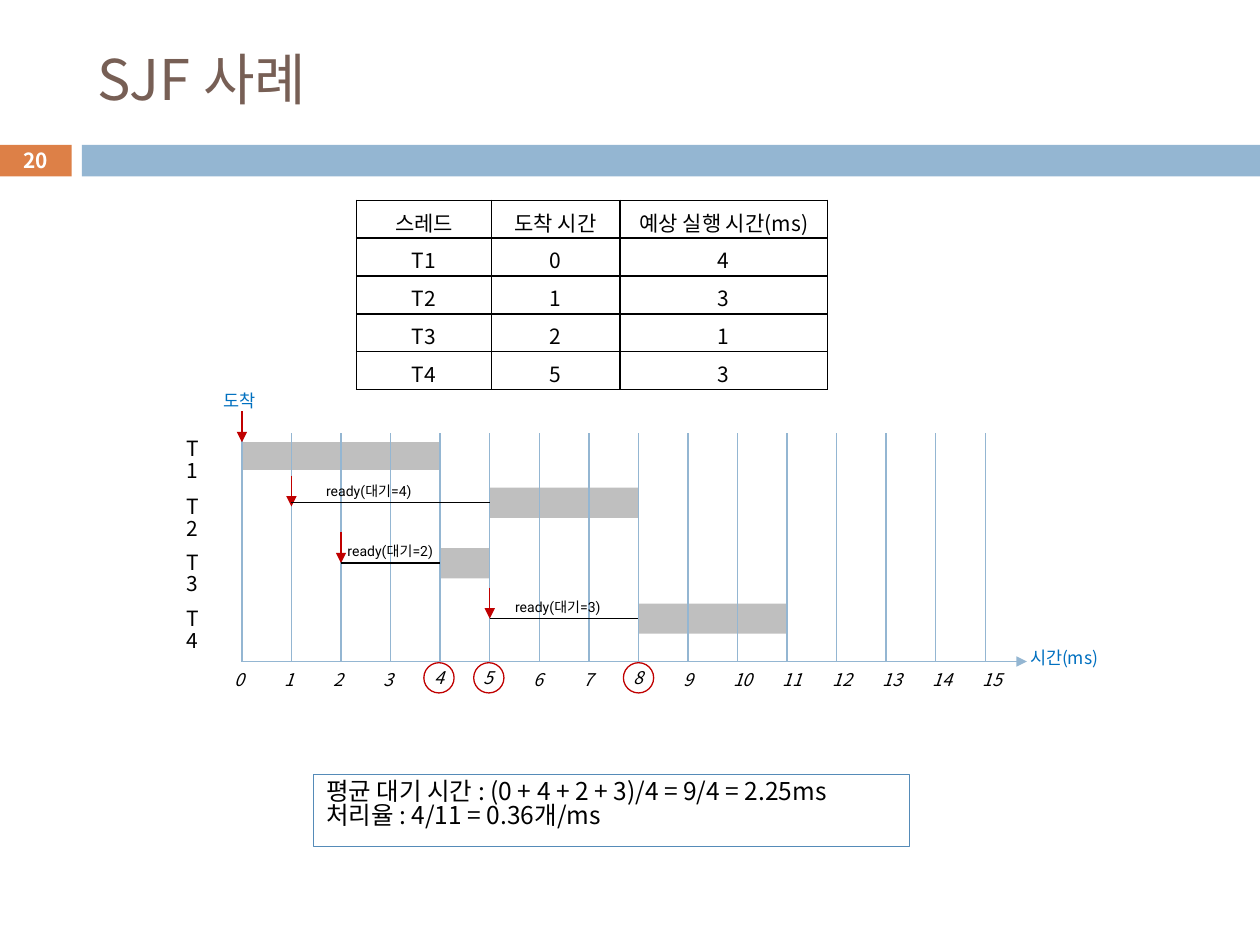
from dataclasses import dataclass

from lxml.etree import SubElement
from pptx import Presentation
from pptx.dml.color import RGBColor
from pptx.enum.shapes import MSO_CONNECTOR, MSO_SHAPE
from pptx.enum.text import MSO_ANCHOR, PP_ALIGN
from pptx.oxml import parse_xml
from pptx.oxml.ns import nsdecls, qn
from pptx.util import Inches, Pt


@dataclass(frozen=True)
class Theme:
    korean: str = "Noto Sans CJK KR"
    latin: str = "Roboto"
    ink: str = "000000"
    white: str = "FFFFFF"
    brown: str = "775F55"
    orange: str = "DD8047"
    blue: str = "94B6D2"
    frame: str = "558BB8"
    caption: str = "0070C0"
    red: str = "C00000"
    grey: str = "BFBFBF"
    title: float = 32
    summary: float = 14
    body: float = 12
    small: float = 10
    tiny: float = 8
    thin: float = 0.75
    rule: float = 0.79


@dataclass(frozen=True)
class Thread:
    name: str
    arrival: int
    start: int
    burst: int
    top: float
    label_top: float
    arrow_tip: float
    wait_left: float = 0

    @property
    def wait(self):
        return self.start - self.arrival


class SlideBuilder:
    COLUMNS, ROWS = 100, 75

    def __init__(self, theme):
        self.theme = theme
        self.deck = Presentation()
        self.deck.slide_width, self.deck.slide_height = Inches(10), Inches(7.5)
        self.slide = self.deck.slides.add_slide(self.deck.slide_layouts[5])

    def x(self, columns):
        return round(self.deck.slide_width * columns / self.COLUMNS)

    def y(self, rows):
        return round(self.deck.slide_height * rows / self.ROWS)

    def place(self, left, top, width, height):
        return self.x(left), self.y(top), self.x(width), self.y(height)

    def set_text(self, frame, text, size, color=None, align=PP_ALIGN.LEFT, font=None,
                 bold=False, italic=False, spacing=None):
        frame.text = text
        for paragraph in frame.paragraphs:
            paragraph.alignment = align
            if spacing:
                paragraph.line_spacing = spacing
            for run in paragraph.runs:
                run.font.size = Pt(size)
                run.font.bold, run.font.italic = bold, italic
                run.font.color.rgb = RGBColor.from_string(color or self.theme.ink)
                run.font.name = font or self.theme.korean
                east_asian = SubElement(run._r.get_or_add_rPr(), qn("a:ea"))
                east_asian.set("typeface", self.theme.korean)

    def title(self, text, *box):
        heading = self.slide.shapes.title
        heading.left, heading.top, heading.width, heading.height = self.place(*box)
        heading.text_frame.vertical_anchor = MSO_ANCHOR.MIDDLE
        self.set_text(heading.text_frame, text, self.theme.title, self.theme.brown)

    def text(self, text, *box, size, wrap=False, anchor=MSO_ANCHOR.TOP, **style):
        frame = self.slide.shapes.add_textbox(*self.place(*box)).text_frame
        frame.word_wrap = wrap
        frame.vertical_anchor = anchor
        self.set_text(frame, text, size, **style)

    def shape(self, *box, kind=MSO_SHAPE.RECTANGLE, fill=None, line=None):
        outline = self.slide.shapes.add_shape(kind, *self.place(*box))
        outline.shadow.inherit = False
        if fill:
            outline.fill.solid()
            outline.fill.fore_color.rgb = RGBColor.from_string(fill)
        else:
            outline.fill.background()
        if line:
            outline.line.color.rgb = RGBColor.from_string(line)
            outline.line.width = Pt(self.theme.thin)
        else:
            outline.line.fill.background()
        return outline

    def circled(self, text, left, top, diameter):
        ring = self.shape(left, top, diameter, diameter, kind=MSO_SHAPE.OVAL, line=self.theme.red)
        frame = ring.text_frame
        frame.margin_left = frame.margin_right = frame.margin_top = frame.margin_bottom = 0
        frame.vertical_anchor = MSO_ANCHOR.MIDDLE
        frame.word_wrap = False
        self.set_text(frame, text, self.theme.small, align=PP_ALIGN.CENTER, italic=True)

    def line(self, x1, y1, x2, y2, color, arrow=False, target=None):
        stroke = self.slide.shapes.add_connector(
            MSO_CONNECTOR.STRAIGHT, self.x(x1), self.y(y1), self.x(x2), self.y(y2))
        if target:
            stroke.end_connect(target, 1)
        stroke.line.color.rgb = RGBColor.from_string(color)
        stroke.line.width = Pt(self.theme.rule)
        properties = stroke._element.spPr
        if arrow:
            SubElement(properties.find(qn("a:ln")), qn("a:tailEnd")).set("type", "triangle")
        SubElement(properties, qn("a:effectLst"))

    def table(self, rows, left, top, widths, row_height):
        box = self.place(left, top, sum(widths), row_height * len(rows))
        grid = self.slide.shapes.add_table(len(rows), len(widths), *box).table
        grid.first_row = grid.horz_banding = False
        for column, width in zip(grid.columns, widths):
            column.width = self.x(width)
        for row, values in zip(grid.rows, rows):
            row.height = self.y(row_height)
            for cell, value in zip(row.cells, values):
                cell.margin_top, cell.margin_bottom = self.y(0.5), self.y(0.1)
                cell.fill.background()
                self.set_text(cell.text_frame, value, self.theme.body, align=PP_ALIGN.CENTER)
                for index, side in enumerate("LRTB"):
                    cell._tc.get_or_add_tcPr().insert(index, parse_xml(
                        f'<a:ln{side} {nsdecls("a")} w="12700"><a:solidFill>'
                        f'<a:srgbClr val="{self.theme.ink}"/></a:solidFill></a:ln{side}>'))


THREADS = [
    Thread("T1", 0, 0, 4, 35.1, 34.4, 35.1),
    Thread("T2", 1, 5, 3, 38.7, 39, 40.2, 24.9),
    Thread("T3", 2, 4, 1, 43.5, 43.4, 44.7, 26.6),
    Thread("T4", 5, 8, 3, 47.9, 47.9, 49.1, 39.9),
]
ORIGIN, LAST_TICK = 19.2, 15
TICK = 59 / LAST_TICK
AXIS = 52.5
SWITCH_TIMES = {4, 5, 8}


def at(time):
    return ORIGIN + time * TICK


def main():
    theme = Theme()
    page = SlideBuilder(theme)
    page.title("SJF 사례", 6.7, 2.5, 89.2, 7.4)
    page.shape(0, 11.5, 5.7, 2.5, fill=theme.orange)
    page.shape(6.5, 11.5, 93.5, 2.5, fill=theme.blue)
    page.text("20", 0, 11.4, 5.7, 2.7, size=11.9, color=theme.white, bold=True,
              align=PP_ALIGN.CENTER, anchor=MSO_ANCHOR.MIDDLE)

    header = ("스레드", "도착 시간", "예상 실행 시간(ms)")
    jobs = [(t.name, str(t.arrival), str(t.burst)) for t in THREADS]
    page.table([header, *jobs], 28.3, 15.9, (10.7, 10.2, 16.5), 3)

    bars = [page.shape(at(t.start), t.top, t.burst * TICK, 2.4 if t.wait else 2.2, fill=theme.grey)
            for t in THREADS]
    for time in range(LAST_TICK + 1):
        page.line(at(time), 34.4, at(time), AXIS, theme.blue)
        label_left = 17.6 + 3.96 * time
        if time in SWITCH_TIMES:
            page.circled(str(time), label_left + 0.2, 52.6, 2.4)
        else:
            page.text(str(time), label_left, 52.6, 2.8 if time < 10 else 3.6, 2.7,
                      size=theme.small, italic=True)
    page.line(ORIGIN, AXIS, 81.5, AXIS, theme.blue, arrow=True)
    page.text("시간(ms)", 80.7, 51.1, 7.5, 2.7, size=theme.small, color=theme.caption,
              align=PP_ALIGN.CENTER, wrap=True, spacing=0.85)
    page.text("도착", 16.6, 30.5, 4.8, 2.7, size=theme.small, color=theme.caption,
              align=PP_ALIGN.CENTER)

    for thread, bar in zip(THREADS, bars):
        page.text(thread.name, 13.8, thread.label_top, 3.8, 3, size=theme.body, wrap=True,
                  spacing=0.85)
        arrival = at(thread.arrival)
        page.line(arrival, thread.arrow_tip - 2.45, arrival, thread.arrow_tip, theme.red, arrow=True)
        if thread.wait:
            middle = thread.top + 1.2
            page.line(arrival, middle, at(thread.start), middle, theme.ink, target=bar)
            page.text(f"ready(대기={thread.wait})", thread.wait_left, thread.top - 0.9, 9.6, 2.4,
                      size=theme.tiny, font=theme.latin)

    summary = page.shape(24.9, 61.5, 47.3, 5.7, line=theme.frame).text_frame
    summary.word_wrap = False
    summary.vertical_anchor = MSO_ANCHOR.TOP
    page.set_text(summary, "평균 대기 시간 : (0 + 4 + 2 + 3)/4 = 9/4 = 2.25ms\n처리율 : 4/11 = 0.36개/ms",
                  theme.summary, spacing=0.82)
    page.deck.save("out.pptx")


if __name__ == "__main__":
    main()
